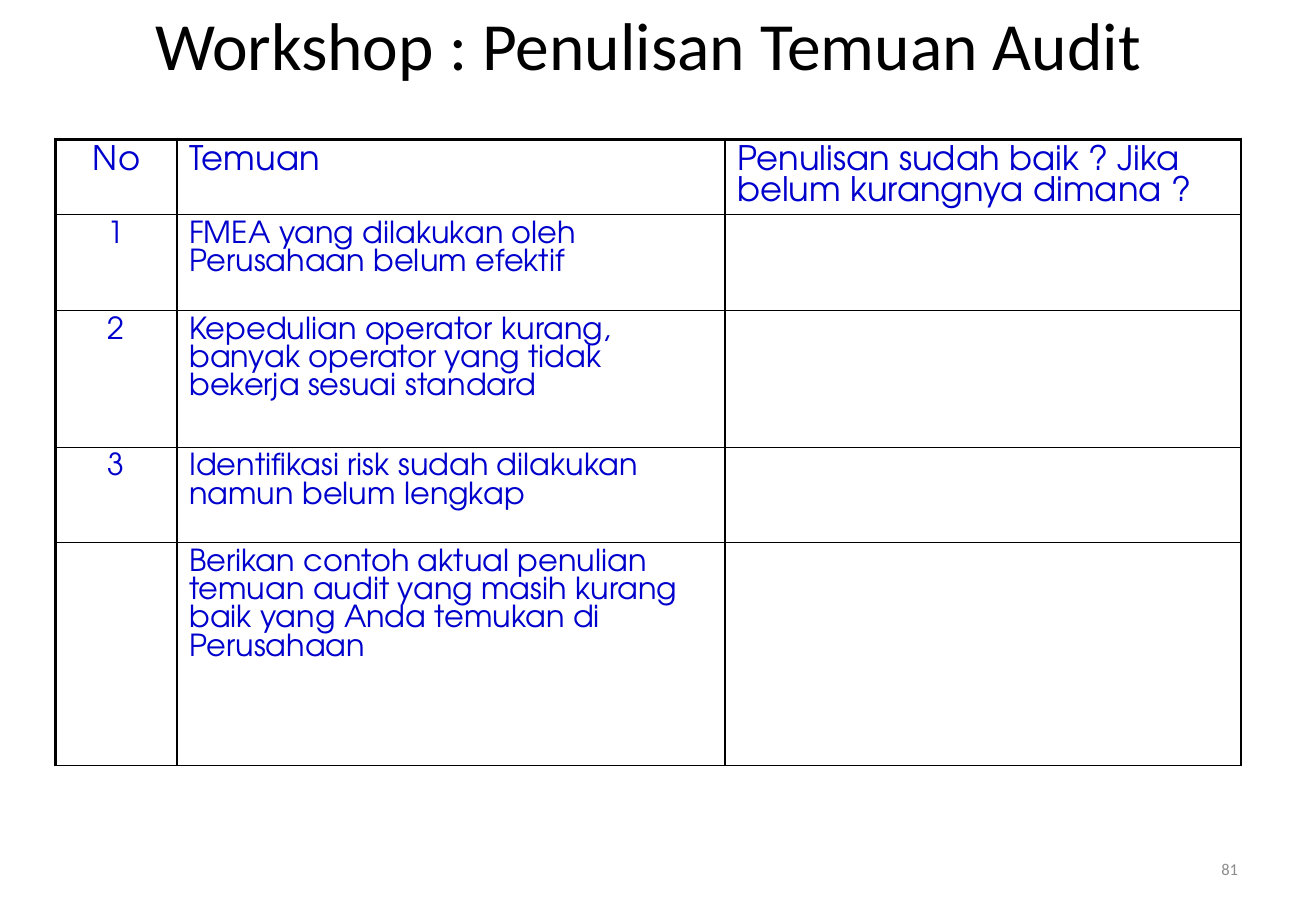
from lxml.etree import SubElement
from pptx import Presentation
from pptx.dml.color import RGBColor
from pptx.enum.text import MSO_ANCHOR, PP_ALIGN
from pptx.oxml.ns import qn
from pptx.util import Pt

COLORS = {"title": "000000", "cell": "0000CC", "border": "000000", "number": "8C8C8C"}
BODY_FONT = "TeX Gyre Adventor"
TITLE_FONT = "Calibri"

COL_WIDTHS = [72, 324.7, 306]
ROW_HEIGHTS = [44.5, 57, 81, 56.5, 132]
FINDINGS = [
    ("No", "Temuan", "Penulisan sudah baik ? Jika belum kurangnya dimana ?"),
    ("1", "FMEA yang dilakukan oleh Perusahaan belum efektif", ""),
    ("2", "Kepedulian operator kurang, banyak operator yang tidak bekerja sesuai standard", ""),
    ("3", "Identifikasi risk sudah dilakukan namun belum lengkap", ""),
    ("", "Berikan contoh aktual penulian temuan audit yang masih kurang baik "
         "yang Anda temukan di Perusahaan", ""),
]


def write(tf, text, size, color, font, align=PP_ALIGN.LEFT, anchor=None):
    tf.word_wrap = True
    if anchor is not None:
        tf.vertical_anchor = anchor
    p = tf.paragraphs[0]
    p.alignment = align
    p.font.size = Pt(size)
    if text:
        r = p.add_run()
        r.text = text
        r.font.size = Pt(size)
        r.font.name = font
        r.font.color.rgb = RGBColor.from_string(COLORS[color])


def set_borders(cell, widths):
    tc_pr = cell._tc.get_or_add_tcPr()
    for side in ("L", "R", "T", "B"):
        ln = SubElement(tc_pr, qn(f"a:ln{side}"), w=str(Pt(widths.get(side, 1))))
        fill = SubElement(ln, qn("a:solidFill"))
        SubElement(fill, qn("a:srgbClr"), val=COLORS["border"])


def add_title(s, left, top, width, height):
    sp = s.shapes.title
    sp.left, sp.top, sp.width, sp.height = Pt(left), Pt(top), Pt(width), Pt(height)
    write(sp.text_frame, "Workshop : Penulisan Temuan Audit", 40, "title", TITLE_FONT,
          align=PP_ALIGN.CENTER, anchor=MSO_ANCHOR.TOP)


def add_findings(s, left, top):
    frame = s.shapes.add_table(len(ROW_HEIGHTS), len(COL_WIDTHS), Pt(left), Pt(top),
                               Pt(sum(COL_WIDTHS)), Pt(sum(ROW_HEIGHTS)))
    table = frame.table
    table.first_row = table.horz_banding = False
    for column, width in zip(table.columns, COL_WIDTHS):
        column.width = Pt(width)
    for row, height in zip(table.rows, ROW_HEIGHTS):
        row.height = Pt(height)
    for i, texts in enumerate(FINDINGS):
        for j, text in enumerate(texts):
            cell = table.cell(i, j)
            # Heavier rule along the top and left edges
            set_borders(cell, {"L": 1 if j else 2.25, "T": 1 if i else 2.25})
            cell.fill.background()
            write(cell.text_frame, text, 18 if i else 20, "cell", BODY_FONT,
                  align=PP_ALIGN.LEFT if j else PP_ALIGN.CENTER)


def add_number(s, left, top, width, height):
    sp = s.shapes.add_textbox(Pt(left), Pt(top), Pt(width), Pt(height))
    write(sp.text_frame, "81", 9.8, "number", TITLE_FONT,
          align=PP_ALIGN.RIGHT, anchor=MSO_ANCHOR.MIDDLE)


def main():
    prs = Presentation()
    prs.slide_width, prs.slide_height = Pt(780), Pt(540)
    s = prs.slides.add_slide(prs.slide_layouts[5])
    # Heading
    add_title(s, 27.4, -2, 713.5, 90)
    # Audit findings
    add_findings(s, 33, 82.7)
    # Slide number
    add_number(s, 558.7, 500.4, 182.2, 28.8)
    prs.save("out.pptx")


if __name__ == "__main__":
    main()
